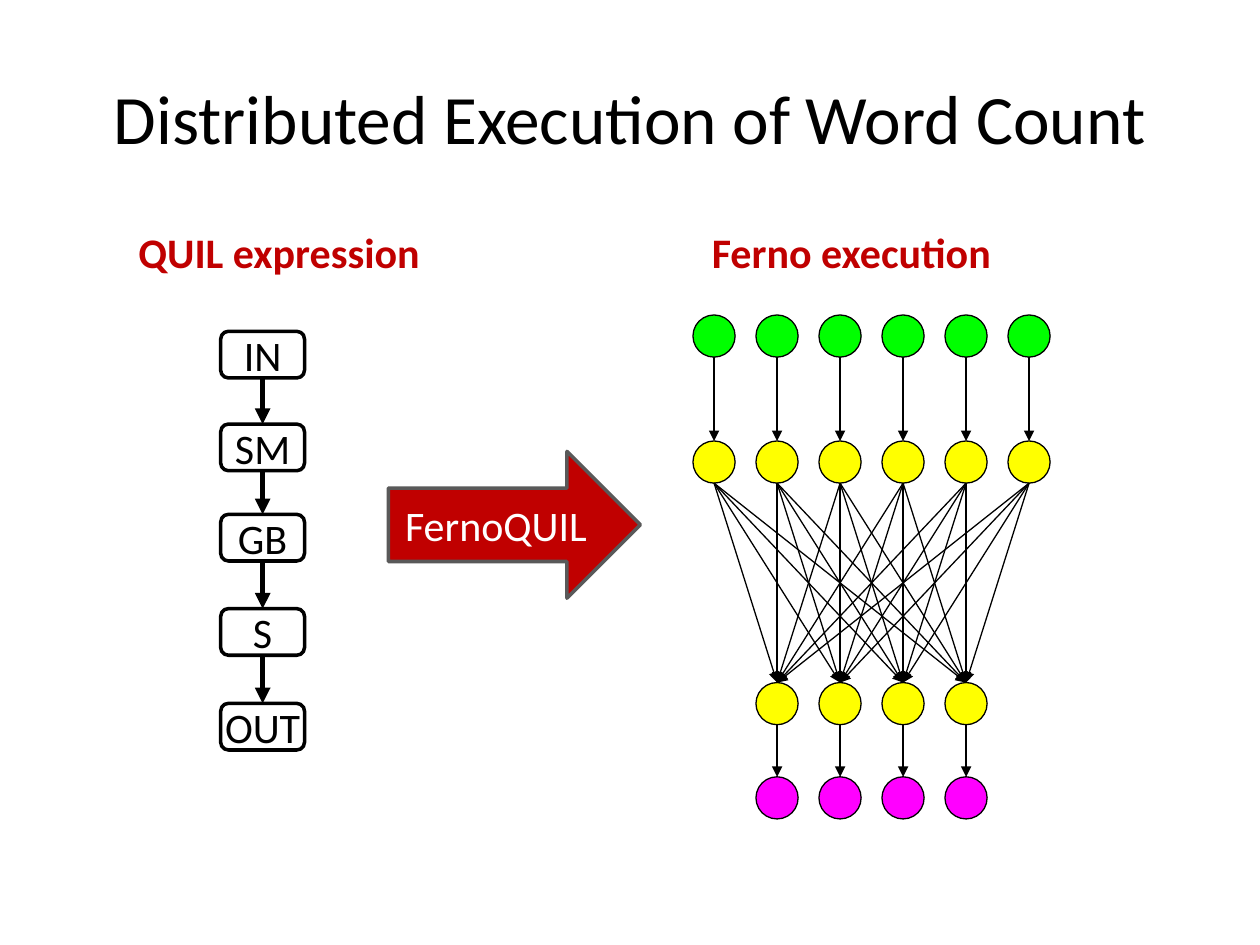
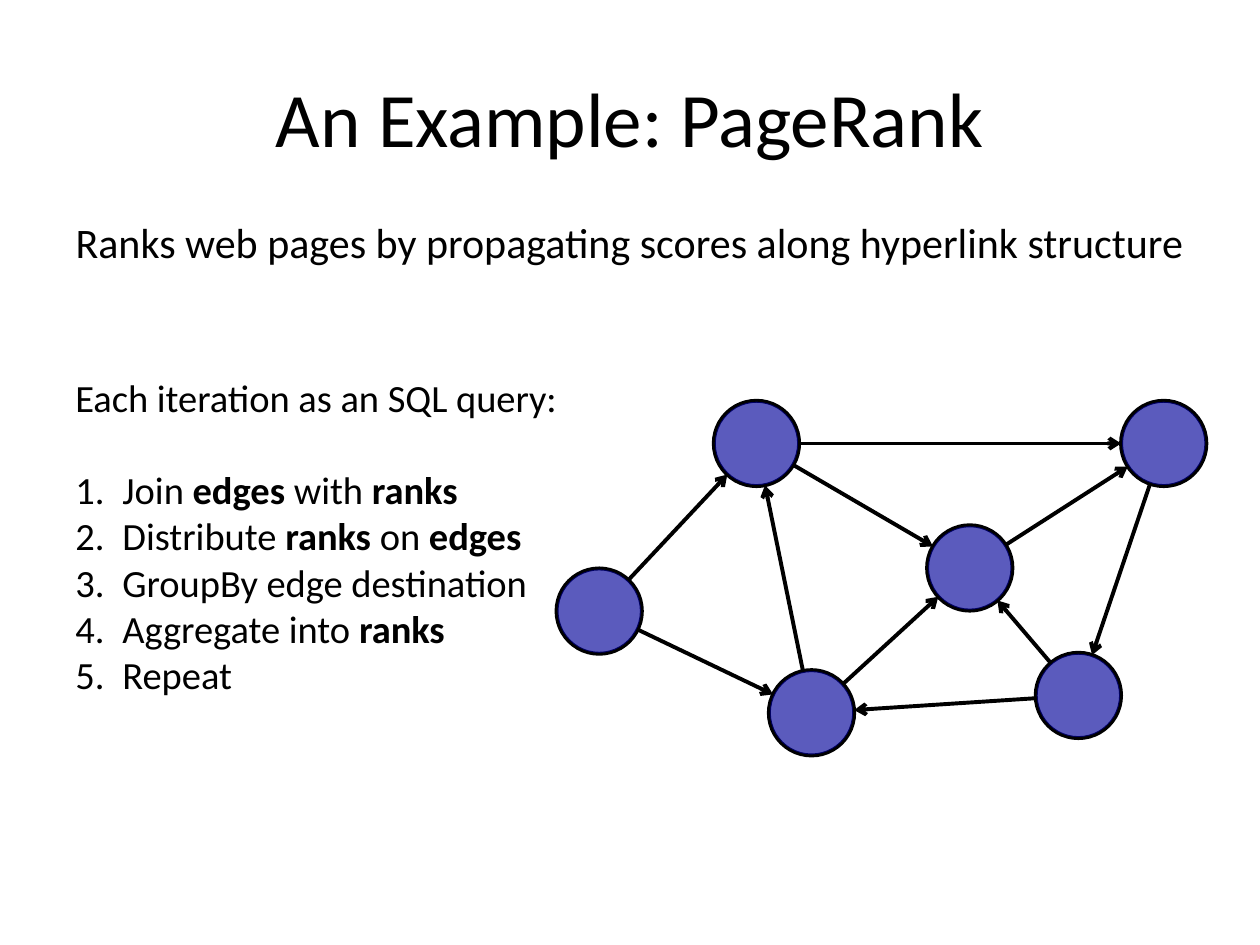
import math

import lxml.etree
import pptx
import pptx.dml.color
import pptx.enum.shapes
import pptx.enum.text
import pptx.oxml.ns
import pptx.util

Cm, Pt = pptx.util.Cm, pptx.util.Pt
SHAPES = pptx.enum.shapes.MSO_SHAPE
ALIGN = pptx.enum.text.PP_ALIGN
ANCHOR = pptx.enum.text.MSO_ANCHOR
qn = pptx.oxml.ns.qn

FONT = "Calibri"
COLORS = {
    "black": "000000", "white": "FFFFFF", "red": "C00000", "gray": "595959",
    "green": "00FF00", "yellow": "FFFF00", "magenta": "FF00FF", "navy": "000099",
}
TITLE_AREA = (1.27, 0.76, 22.86, 3.18)

# Word count: all positions are centimetres.
HEADINGS = [("QUIL expression", 2.54), ("Ferno execution", 14.1)]
TRANSLATOR = "FernoQUIL"
STEPS = [("IN", 6.68), ("SM", 8.55), ("GB", 10.37), ("S", 12.27), ("OUT", 14.18)]
STEP_LEFT, STEP_WIDTH, STEP_HEIGHT = 4.45, 1.69, 0.94
COLUMN_LEFT, COLUMN_PITCH, VERTEX = 13.97, 1.27, 0.85
# Each stage: colour, top, columns in use, how the stage above feeds it.
STAGES = [
    ("green", 6.35, range(6), None),
    ("yellow", 8.89, range(6), "one to one"),
    ("yellow", 13.76, range(1, 5), "all to all"),
    ("magenta", 15.66, range(1, 5), "one to one"),
]

# PageRank
SUMMARY = "Ranks web pages by propagating scores along hyperlink structure"
QUERY_INTRO = "Each iteration as an SQL query:"
# Every second piece of a step is bold.
QUERY_STEPS = [
    ["Join ", "edges ", "with ", "ranks"],
    ["Distribute ", "ranks", " on ", "edges"],
    ["GroupBy edge destination"],
    ["Aggregate into ", "ranks"],
    ["Repeat"],
]
WEB_SIZE = 1.72
WEB_PAGES = {
    "top": (14.39, 8.08), "right": (22.6, 8.08), "middle": (18.69, 10.59),
    "left": (11.22, 11.46), "low right": (20.88, 13.16), "bottom": (15.5, 13.51),
}
WEB_LINKS = [
    ("left", "top"), ("left", "bottom"), ("bottom", "top"), ("top", "right"),
    ("top", "middle"), ("middle", "right"), ("bottom", "middle"),
    ("right", "low right"), ("low right", "middle"), ("low right", "bottom"),
]


def rgb(name):
    """Return the named colour."""
    return pptx.dml.color.RGBColor.from_string(COLORS[name])


def add_span(para, text, size=24, color="black", bold=False):
    """Append formatted text to a paragraph."""
    span = para.add_run()
    span.text = text
    span.font.name, span.font.size, span.font.bold = FONT, Pt(size), bold
    span.font.color.rgb = rgb(color)


def set_indent(para, indent, bullet, **attributes):
    """Give a paragraph a hanging indent and a bullet element."""
    properties = para._p.get_or_add_pPr()
    properties.set("marL", str(Cm(indent)))
    properties.set("indent", str(Cm(-indent)))
    lxml.etree.SubElement(properties, qn(bullet), **attributes)


def place(box, left, top, width, height):
    """Move and size an object."""
    box.left, box.top, box.width, box.height = map(Cm, (left, top, width, height))


def add_page(deck, layout, title, size):
    """Add a page with the shared title style."""
    page = deck.slides.add_slide(deck.slide_layouts[layout])
    heading = page.shapes.title
    place(heading, *TITLE_AREA)
    para = heading.text_frame.paragraphs[0]
    para.alignment = ALIGN.CENTER
    add_span(para, title, size=size)
    return page


def add_text_box(page, left, top, width, height):
    """Add a wrapping text box and return its text frame."""
    frame = page.shapes.add_textbox(*map(Cm, (left, top, width, height))).text_frame
    frame.word_wrap = True
    return frame


def add_figure(page, kind, area, fill, line="black", weight=0.75, opacity=None):
    """Add a filled, outlined preset shape."""
    figure = page.shapes.add_shape(kind, *map(Cm, area))
    figure.shadow.inherit = False
    figure.fill.solid()
    figure.fill.fore_color.rgb = rgb(fill)
    if opacity is not None:
        color = figure.element.spPr.find(qn("a:solidFill")).find(qn("a:srgbClr"))
        lxml.etree.SubElement(color, qn("a:alpha"), val=str(opacity * 1000))
    figure.line.color.rgb = rgb(line)
    figure.line.width = Pt(weight)
    return figure


def add_label(figure, text, color="black", side_margin=0.25):
    """Write centred text in a shape."""
    frame = figure.text_frame
    frame.margin_left = frame.margin_right = Cm(side_margin)
    frame.vertical_anchor = ANCHOR.MIDDLE
    frame.paragraphs[0].alignment = ALIGN.CENTER
    add_span(frame.paragraphs[0], text, color=color)


def add_arrow(page, start, end, weight=0.75, head="triangle"):
    """Draw a straight arrow between two points."""
    arrow = page.shapes.add_connector(
        pptx.enum.shapes.MSO_CONNECTOR.STRAIGHT, *map(Cm, (*start, *end)))
    arrow.line.color.rgb = rgb("black")
    arrow.line.width = Pt(weight)
    properties = arrow.element.spPr
    lxml.etree.SubElement(properties.find(qn("a:ln")), qn("a:tailEnd"), type=head)
    lxml.etree.SubElement(properties, qn("a:effectLst"))


def column_center(column):
    """Return the horizontal centre of a column of vertices."""
    return COLUMN_LEFT + column * COLUMN_PITCH + VERTEX / 2


def draw_steps(page):
    """Draw the chain of query operators."""
    middle = STEP_LEFT + STEP_WIDTH / 2
    for text, top in STEPS:
        box = add_figure(page, SHAPES.ROUNDED_RECTANGLE,
                         (STEP_LEFT, top, STEP_WIDTH, STEP_HEIGHT), "white", weight=2)
        add_label(box, text, side_margin=0)
    for (_, upper), (_, lower) in zip(STEPS, STEPS[1:]):
        add_arrow(page, (middle, upper + STEP_HEIGHT), (middle, lower), weight=3)


def draw_stages(page):
    """Draw the execution graph, stage by stage."""
    for color, top, columns, _ in STAGES:
        for column in columns:
            left = COLUMN_LEFT + column * COLUMN_PITCH
            add_figure(page, SHAPES.OVAL, (left, top, VERTEX, VERTEX), color)
    for (_, upper, sources, _), (_, lower, targets, feed) in zip(STAGES, STAGES[1:]):
        for source in sources:
            for target in targets:
                if feed == "all to all" or source == target:
                    add_arrow(page, (column_center(source), upper + VERTEX),
                              (column_center(target), lower))


def build_word_count(deck):
    """Build the word count page."""
    page = add_page(deck, 5, "Distributed Execution of Word Count", 39.6)
    for text, left in HEADINGS:
        frame = add_text_box(page, left, 4.45, 6.48, 1.27)
        add_span(frame.paragraphs[0], text, color="red", bold=True)
    draw_steps(page)
    arrow = add_figure(page, SHAPES.RIGHT_ARROW, (7.83, 9.1, 5.08, 2.96),
                       "red", line="gray", weight=2)
    add_label(arrow, TRANSLATOR, color="white")
    draw_stages(page)


def draw_web(page):
    """Draw web pages as tinted circles, linked from rim to rim."""
    radius = WEB_SIZE / 2
    for left, top in WEB_PAGES.values():
        area = (left, top, WEB_SIZE, WEB_SIZE)
        add_figure(page, SHAPES.OVAL, area, "white", weight=2.25)
        for _ in range(2):
            add_figure(page, SHAPES.OVAL, area, "navy", weight=1, opacity=40)
    for source, target in WEB_LINKS:
        x1, y1 = (edge + radius for edge in WEB_PAGES[source])
        x2, y2 = (edge + radius for edge in WEB_PAGES[target])
        share = radius / math.hypot(x2 - x1, y2 - y1)
        dx, dy = (x2 - x1) * share, (y2 - y1) * share
        add_arrow(page, (x1 + dx, y1 + dy), (x2 - dx, y2 - dy),
                  weight=2.25, head="arrow")


def build_page_rank(deck):
    """Build the PageRank page."""
    page = add_page(deck, 1, "An Example: PageRank", 44)
    body = page.placeholders[1]
    place(body, 1.27, 4.23, 23.07, 12.27)
    para = body.text_frame.paragraphs[0]
    set_indent(para, 0.95, "a:buNone")
    add_span(para, SUMMARY)
    draw_web(page)
    frame = add_text_box(page, 1.27, 7.41, 10.37, 6.83)
    add_span(frame.paragraphs[0], QUERY_INTRO, size=22)
    for number, pieces in enumerate(QUERY_STEPS):
        para = frame.add_paragraph()
        if number == 0:
            para.space_before = Pt(26.5)
        set_indent(para, 0.95, "a:buAutoNum", type="arabicPeriod")
        for index, piece in enumerate(pieces):
            add_span(para, piece, size=22, bold=index % 2 == 1)


deck = pptx.Presentation()
deck.slide_width, deck.slide_height = Cm(25.4), Cm(19.05)
build_word_count(deck)
build_page_rank(deck)
deck.save("out.pptx")
